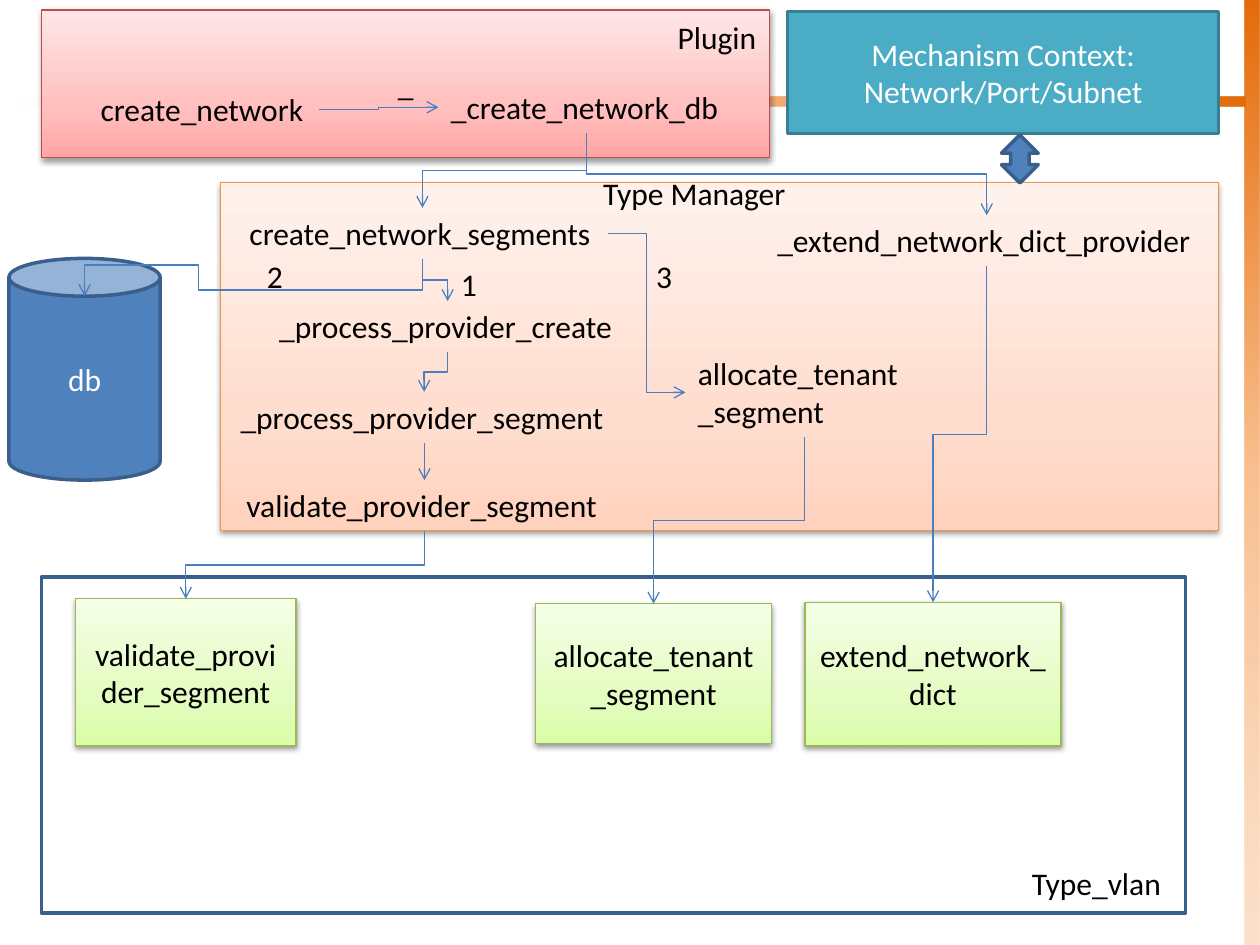
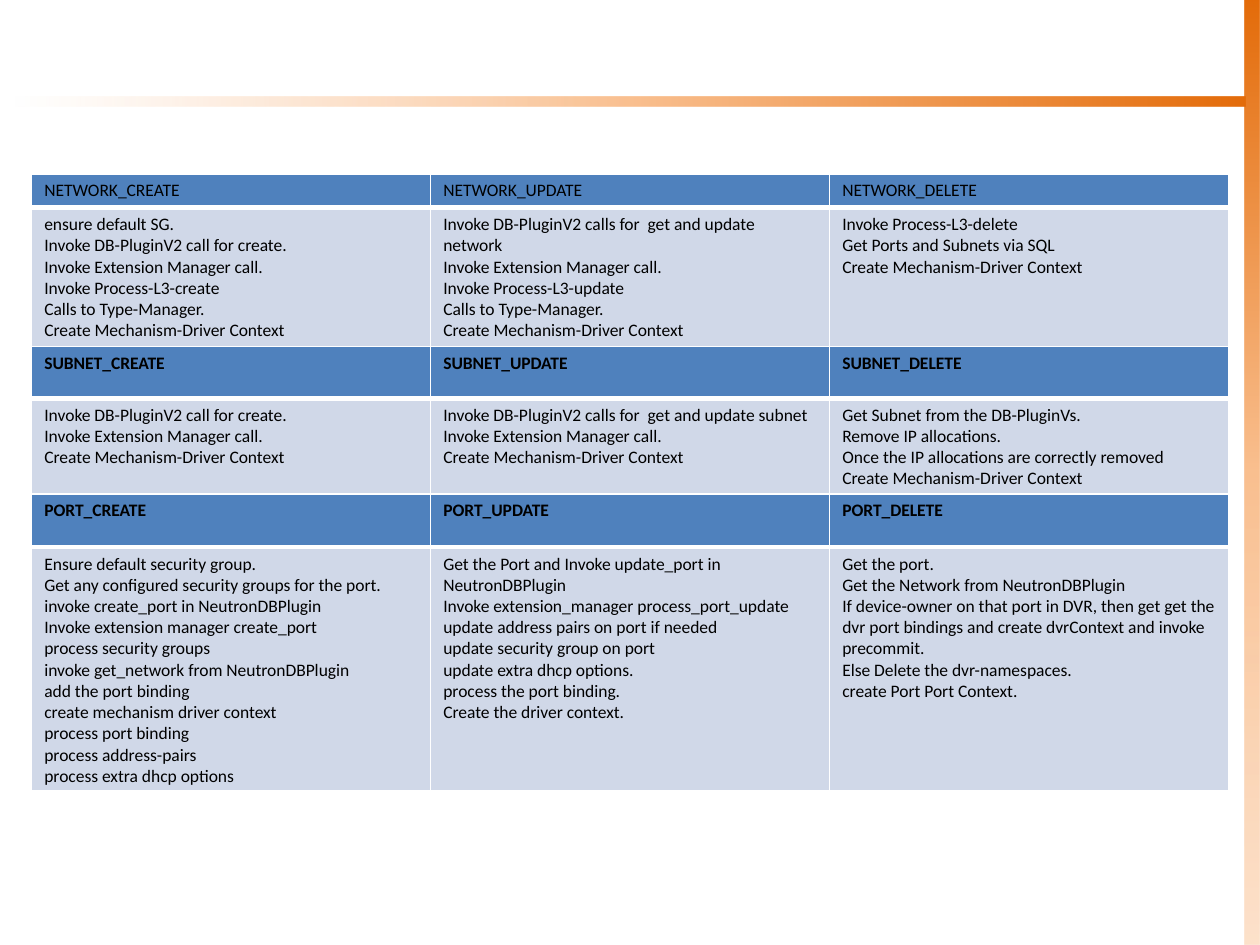
from lxml import etree
from pptx import Presentation
from pptx import util as u
from pptx.dml import color
from pptx.enum import shapes, text
from pptx.oxml import ns

Cm, Pt, qn = u.Cm, u.Pt, ns.qn
rgb = color.RGBColor.from_string
SHAPE, ALIGN = shapes.MSO_SHAPE, text.PP_ALIGN

# Shared colours; gradients are (position, colour, opacity) stops
BLACK, WHITE = "000000", "FFFFFF"
BLUE, NAVY, ARROW, PALE = "4F81BD", "3A5F8C", "4B7EBC", "D0D8E8"
RED = [(0, "FFA6A5", 100), (35, "FFC0BF", 100), (100, "FFE7E7", 100)]
ORANGE = [(0, "FFD2BD", 100), (35, "FFDED0", 100), (100, "FFF2ED", 100)]
GREEN = [(0, "DAFDA7", 100), (35, "E4FCC2", 100), (100, "F5FFE7", 100)]
SIDE_BAND = [(0, "E46C0A", 100), (50, "FAC090", 100), (100, "FCD5B5", 69)]
TOP_BAND = [(0, "FCD5B5", 0), (50, "FAC090", 100), (100, "E46C0A", 100)]


def add_box(sp, kind, at, fill=None, line=None, width=0.75, angle=90, shadow=False):
    """Add a preset shape with a solid, gradient or empty fill."""
    s = sp.add_shape(kind, *[Cm(v) for v in at])
    s.shadow.inherit = False
    if fill is None:
        s.fill.background()
    elif isinstance(fill, str):
        s.fill.solid()
        s.fill.fore_color.rgb = rgb(fill)
    else:
        s.fill.gradient()
        s.fill.gradient_angle = angle
        stops = s._element.spPr.find(".//" + qn("a:gsLst"))
        stops.clear()
        for pos, value, opacity in fill:
            gs = etree.SubElement(stops, qn("a:gs"), pos=str(pos * 1000))
            clr = etree.SubElement(gs, qn("a:srgbClr"), val=value)
            etree.SubElement(clr, qn("a:alpha"), val=str(opacity * 1000))
    if line:
        s.line.color.rgb = rgb(line)
        s.line.width = Pt(width)
    else:
        s.line.fill.background()
    if shadow:
        effects = s._element.spPr.find(qn("a:effectLst"))
        outer = etree.SubElement(effects, qn("a:outerShdw"), blurRad="40000",
                                 dist="20000", dir="5400000", rotWithShape="0")
        clr = etree.SubElement(outer, qn("a:srgbClr"), val=BLACK)
        etree.SubElement(clr, qn("a:alpha"), val="38000")
    return s


def write(tf, lines, size=18, colour=BLACK, bold=False, align=ALIGN.LEFT):
    """Write one paragraph per line."""
    for i, line in enumerate(lines):
        p = tf.paragraphs[0] if i == 0 else tf.add_paragraph()
        p.alignment = align
        r = p.add_run()
        r.text = line
        r.font.name, r.font.size, r.font.bold = "Calibri", Pt(size), bold
        r.font.color.rgb = rgb(colour)


prs = Presentation()
prs.slide_width, prs.slide_height = Cm(25.4), Cm(19.05)

# Both slides carry the same orange bands
for _ in range(2):
    sp = prs.slides.add_slide(prs.slide_layouts[6]).shapes
    add_box(sp, SHAPE.RECTANGLE, (25.1, 0, 0.3, 19.05), SIDE_BAND, angle=270)
    add_box(sp, SHAPE.RECTANGLE, (0.3, 1.95, 24.8, 0.19), TOP_BAND, angle=0)

# Slide 1: call flow, boxes first
sp = prs.slides[0].shapes
nodes = {}
BOXES = [  # key, kind, place, fill, line, line width, text, text colour
    ("type manager", SHAPE.RECTANGLE, (4.45, 3.68, 20.12, 7.01), ORANGE, "F69240", 0.75, "", BLACK),
    ("type vlan", SHAPE.RECTANGLE, (0.84, 11.63, 23.06, 6.78), None, NAVY, 2, "", BLACK),
    ("plugin", SHAPE.RECTANGLE, (0.84, 0.2, 14.68, 2.97), RED, "BF4C48", 0.75, "_", BLACK),
    ("vlan validate", SHAPE.RECTANGLE, (1.52, 12.07, 4.45, 2.97), GREEN, "98B955", 0.75,
     "validate_provider_segment", BLACK),
    ("vlan allocate", SHAPE.RECTANGLE, (10.8, 12.17, 4.75, 2.82), GREEN, "98B955", 0.75,
     "allocate_tenant_segment", BLACK),
    ("vlan extend", SHAPE.RECTANGLE, (16.23, 12.14, 5.16, 2.9), GREEN, "98B955", 0.75,
     "extend_network_dict", BLACK),
    ("db", SHAPE.CAN, (0.18, 5.21, 3.05, 4.47), BLUE, NAVY, 2, "db", WHITE),
    ("context", SHAPE.RECTANGLE, (15.88, 0.23, 8.69, 2.46), "4BACC6", "377F92", 2,
     "Mechanism Context: Network/Port/Subnet", WHITE),
    ("context arrow", SHAPE.UP_DOWN_ARROW, (20.19, 2.72, 0.74, 0.97), BLUE, NAVY, 2, "", WHITE),
]
for key, kind, at, fill, line, width, label, colour in BOXES:
    s = nodes[key] = add_box(sp, kind, at, fill, line, width, shadow=isinstance(fill, list))
    if label:
        s.text_frame.vertical_anchor = text.MSO_ANCHOR.MIDDLE
        write(s.text_frame, [label], colour=colour, align=ALIGN.CENTER)

# Function names and step numbers: text, left, top, width
LABELS = [
    ("Plugin", 13.41, 0.23, 2.11),
    ("Type Manager", 11.91, 3.38, 4.24),
    ("Type_vlan", 20.55, 17.3, 3.15),
    ("create_network", 1.78, 1.7, 4.65),
    ("_create_network_db", 8.84, 1.65, 5.97),
    ("create_network_segments", 4.78, 4.19, 7.47),
    ("_extend_network_dict_provider", 15.42, 4.34, 8.94),
    ("_process_provider_create", 5.38, 6.07, 7.29),
    ("_process_provider_segment", 4.6, 7.9, 7.9),
    ("validate_provider_segment", 4.72, 9.68, 7.67),
    ("allocate_tenant_segment", 13.82, 7.01, 4.8),
    ("1", 9.04, 5.21, 0.84),
    ("2", 5.13, 5.05, 0.84),
    ("3", 12.98, 5.05, 0.84),
]
for label, left, top, width in LABELS:
    wraps = label == "allocate_tenant_segment"
    s = nodes[label] = sp.add_textbox(Cm(left), Cm(top), Cm(width), Cm(1.8 if wraps else 1.03))
    s.text_frame.word_wrap = wraps
    s.text_frame.auto_size = text.MSO_AUTO_SIZE.SHAPE_TO_FIT_TEXT
    write(s.text_frame, [label])

# Calls between functions, glued to connection sites
TOP, LEFT, BOTTOM, RIGHT = range(4)
CALLS = [
    ("create_network_segments", BOTTOM, "_process_provider_create", TOP),
    ("create_network_segments", BOTTOM, "db", TOP),
    ("create_network_segments", RIGHT, "allocate_tenant_segment", LEFT),
    ("validate_provider_segment", BOTTOM, "vlan validate", TOP),
    ("allocate_tenant_segment", BOTTOM, "vlan allocate", TOP),
    ("create_network", RIGHT, "_create_network_db", LEFT),
    ("_create_network_db", BOTTOM, "create_network_segments", TOP),
    ("_process_provider_create", BOTTOM, "_process_provider_segment", TOP),
    ("_process_provider_segment", BOTTOM, "validate_provider_segment", TOP),
    ("_create_network_db", BOTTOM, "_extend_network_dict_provider", TOP),
    ("_extend_network_dict_provider", BOTTOM, "vlan extend", TOP),
]
for source, out_site, target, in_site in CALLS:
    s = sp.add_connector(shapes.MSO_CONNECTOR.ELBOW, 0, 0, 0, 0)
    s.begin_connect(nodes[source], out_site)
    s.end_connect(nodes[target], in_site)
    spPr = s._element.spPr
    if target == "db":  # ends on the lower rim of the lid, with two more bends
        s.end_y = Cm(5.97)
        geom = spPr.find(qn("a:prstGeom"))
        geom.set("prst", "bentConnector5")
        for i, adj in enumerate((83400, 66200, 16600), 1):
            etree.SubElement(geom.find(qn("a:avLst")), qn("a:gd"), name=f"adj{i}", fmla=f"val {adj}")
    if out_site == BOTTOM:  # turn the elbow so that it leaves downwards
        x1, y1, x2, y2 = s.begin_x, s.begin_y, s.end_x, s.end_y
        s.width, s.height = abs(y2 - y1), abs(x2 - x1)
        s.left, s.top = (x1 + x2 - s.width) // 2, (y1 + y2 - s.height) // 2
        xfrm = spPr.find(qn("a:xfrm"))
        xfrm.set("rot", str((270 if x2 > x1 else 90) * 60000))
        xfrm.set("flipH", "1" if x2 > x1 else "0")
        xfrm.set("flipV", "0")
    s.line.color.rgb = rgb(ARROW)
    s.line.width = Pt(0.75)
    etree.SubElement(spPr.find(qn("a:ln")), qn("a:tailEnd"), type="arrow")
    etree.SubElement(spPr, qn("a:effectLst"))

# Slide 2: one table per resource
sp = prs.slides[1].shapes
DB_CREATE = "Invoke DB-PluginV2 call for create."
DB_UPDATE = "Invoke DB-PluginV2 calls for  get and update "
EXTENSION = "Invoke Extension Manager call."
TYPES = "Calls to Type-Manager."
CONTEXT = "Create Mechanism-Driver Context"
TABLES = [  # resource, top, row heights, steps for create, update and delete
    ("NETWORK", 3.51, (0.64, 2.84), [
        ["ensure default SG.", DB_CREATE, EXTENSION, "Invoke Process-L3-create", TYPES, CONTEXT],
        [DB_UPDATE + "network", EXTENSION, "Invoke Process-L3-update", TYPES, CONTEXT],
        ["Invoke Process-L3-delete", "Get Ports and Subnets via SQL", CONTEXT],
    ]),
    ("SUBNET", 6.99, (1.04, 1.93), [
        [DB_CREATE, EXTENSION, CONTEXT],
        [DB_UPDATE + "subnet", EXTENSION, CONTEXT],
        ["Get Subnet from the DB-PluginVs.", "Remove IP allocations.",
         "Once the IP allocations are correctly removed", CONTEXT],
    ]),
    ("PORT", 9.96, (1.07, 4.9), [
        ["Ensure default security group.", "Get any configured security groups for the port.",
         "invoke create_port in NeutronDBPlugin", "Invoke extension manager create_port",
         "process security groups", "invoke get_network from NeutronDBPlugin",
         "add the port binding", "create mechanism driver context", "process port binding",
         "process address-pairs", "process extra dhcp options"],
        ["Get the Port and Invoke update_port in NeutronDBPlugin",
         "Invoke extension_manager process_port_update",
         "update address pairs on port if needed", "update security group on port",
         "update extra dhcp options.", "process the port binding.", "Create the driver context."],
        ["Get the port.", "Get the Network from NeutronDBPlugin",
         "If device-owner on that port in DVR, then get get the dvr port bindings and create "
         "dvrContext and invoke precommit.",
         "Else Delete the dvr-namespaces.", "create Port Port Context."],
    ]),
]
for resource, top, heights, steps in TABLES:
    table = sp.add_table(2, 3, Cm(0.64), Cm(top), Cm(24.13), Cm(sum(heights))).table
    headings = [[f"{resource}_{action}"] for action in ("CREATE", "UPDATE", "DELETE")]
    for row, (height, contents, fill) in enumerate(zip(heights, (headings, steps), (BLUE, PALE))):
        table.rows[row].height = Cm(height)
        for col, lines in enumerate(contents):
            cell = table.cell(row, col)
            tcPr = cell._tc.get_or_add_tcPr()
            for side in "LRTB":
                thick = (row, side) in ((0, "B"), (1, "T"))
                ln = etree.SubElement(tcPr, qn(f"a:ln{side}"), w=str(Pt(3 if thick else 1)))
                solid = etree.SubElement(ln, qn("a:solidFill"))
                etree.SubElement(solid, qn("a:srgbClr"), val=WHITE)
            cell.fill.solid()
            cell.fill.fore_color.rgb = rgb(fill)
            write(cell.text_frame, lines, size=10, bold=row == 0 and resource != "NETWORK")

prs.save("out.pptx")
